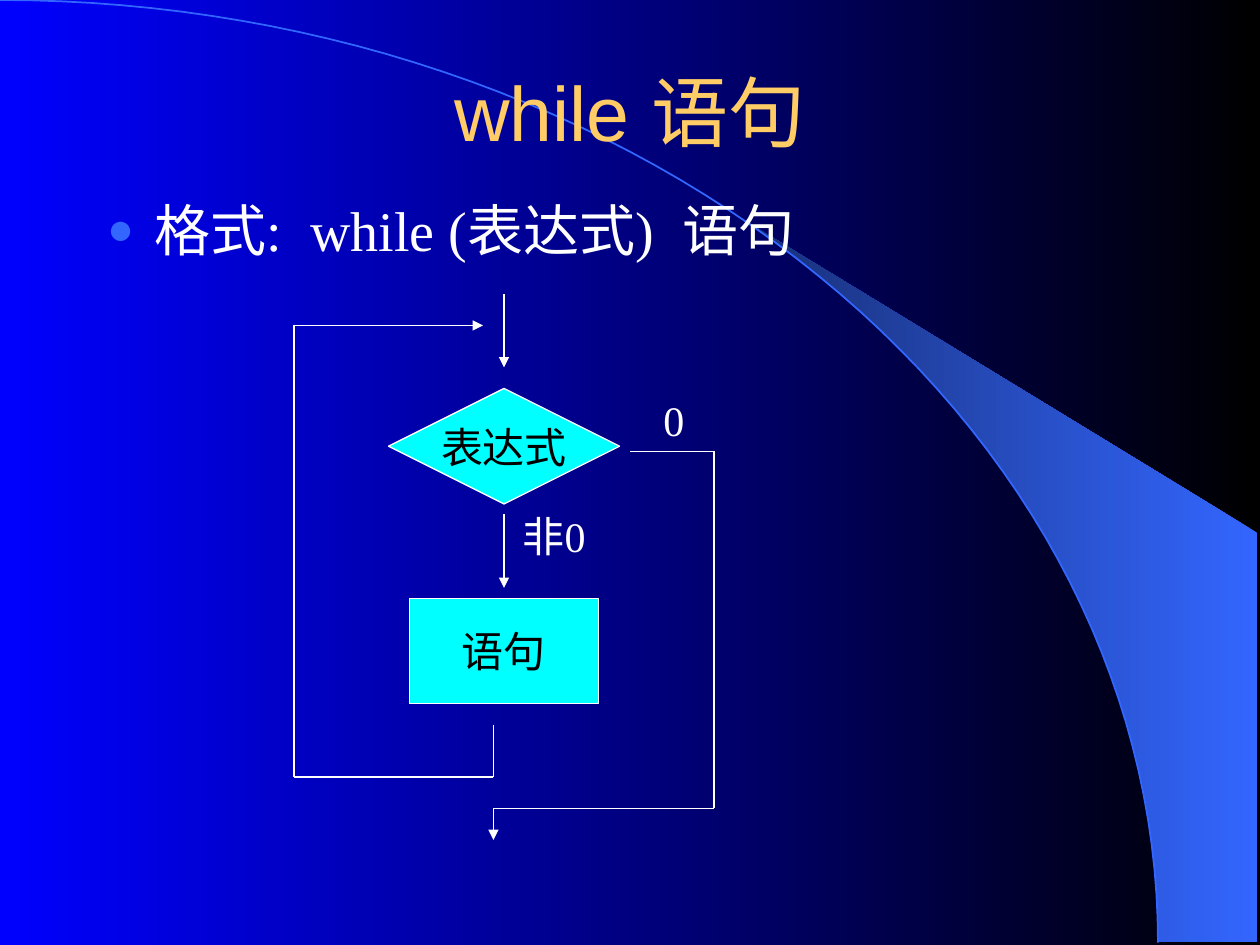
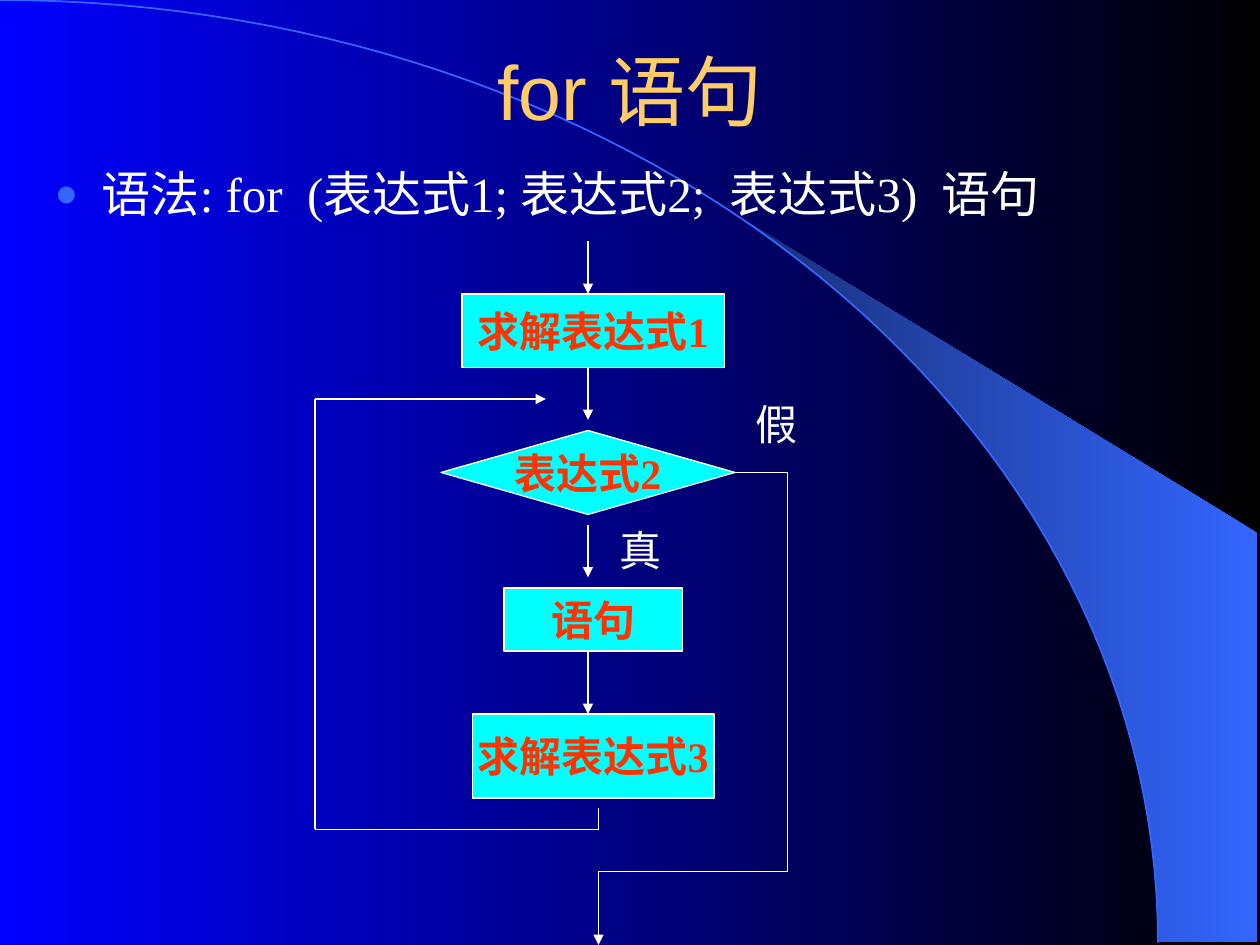
from itertools import pairwise
from math import asin, cos, pi, sin

from lxml.etree import SubElement
from pptx import Presentation
from pptx.dml.color import RGBColor
from pptx.enum.shapes import MSO_CONNECTOR, MSO_SHAPE
from pptx.enum.text import MSO_ANCHOR, MSO_AUTO_SIZE, PP_ALIGN
from pptx.oxml.ns import qn
from pptx.util import Pt

HUES = {
    "black": "000000", "blue": "0000FF", "sky": "3366FF", "navy": "182F76",
    "gold": "FFCC66", "white": "FFFFFF", "cyan": "00FFFF", "red": "FF3300",
}
SANS, SERIF = "Arial", "Times New Roman"
ARC_W, ARC_H = 661.7, 538.6

WHILE = {
    "nodes": [
        (MSO_SHAPE.FLOWCHART_DECISION, 54, 54, 132, 66, "表达式"),
        (MSO_SHAPE.FLOWCHART_PROCESS, 66, 174, 108, 60, "语句"),
    ],
    "tags": [(123.6, 120, 56, "非0"), (204, 54, 26, "0")],
    "routes": [
        [(120, 0), (120, 42)],
        [(120, 126), (120, 168)],
        [(114, 246), (114, 276), (0, 276), (0, 18), (108, 18)],
        [(192, 90), (240, 90), (240, 294), (114, 294), (114, 312)],
    ],
}
FOR = {
    "nodes": [
        (MSO_SHAPE.RECTANGLE, 84, 30, 150, 42, "求解表达式1"),
        (MSO_SHAPE.FLOWCHART_DECISION, 72, 108, 168, 48, "表达式2"),
        (MSO_SHAPE.RECTANGLE, 108, 198, 102, 36, "语句"),
        (MSO_SHAPE.RECTANGLE, 90, 270, 138, 48, "求解表达式3"),
    ],
    "tags": [(244.8, 86, 38, "假"), (167, 158, 38, "真")],
    "routes": [
        [(156, 0), (156, 30)],
        [(156, 72), (156, 102)],
        [(156, 162), (156, 192)],
        [(156, 234), (156, 270)],
        [(162, 324), (162, 336), (0, 336), (0, 90), (132, 90)],
        [(240, 132), (270, 132), (270, 360), (162, 360), (162, 402)],
    ],
}


def hue(name):
    """Return the colour of that name."""
    return RGBColor.from_string(HUES[name])


def style(font, size, color, face=SERIF, bold=False):
    """Set the look of a font."""
    font.size, font.name, font.bold = Pt(size), face, bold
    font.color.rgb = hue(color)


def blend(fill, first, last):
    """Fill with a gradient that runs from right to left."""
    fill.gradient()
    fill.gradient_angle = 180
    for stop, name in zip(fill.gradient_stops, (first, last)):
        stop.color.rgb = hue(name)


def place(shape, left, top, width, height):
    """Move and size a shape."""
    shape.left, shape.top = Pt(left), Pt(top)
    shape.width, shape.height = Pt(width), Pt(height)


def arc(start, steps=60):
    """Return points on the quarter ellipse from an angle to its right end."""
    turns = [start + (pi / 2 - start) * i / steps for i in range(steps + 1)]
    return [(ARC_W * sin(t), ARC_H * (1 - cos(t))) for t in turns]


def outline(slide, points, close):
    """Build a freeform through the points."""
    spots = [(Pt(x), Pt(y)) for x, y in points]
    pen = slide.shapes.build_freeform(*spots[0])
    pen.add_line_segments(spots[1:], close=close)
    shape = pen.convert_to_shape()
    shape.shadow.inherit = False
    return shape


def dress(deck, slide):
    """Give the master its background, wedge and arc."""
    master = deck.slide_master
    blend(master.background.fill, "black", "blue")
    edge = arc(asin(424 / ARC_W))
    wedge = outline(slide, [(718.5, ARC_H), (718.5, 304.5)] + edge, True)
    blend(wedge.fill, "sky", "navy")
    wedge.line.fill.background()
    curve = outline(slide, arc(0), False)
    curve.fill.background()
    curve.line.color.rgb, curve.line.width = hue("sky"), Pt(1)
    for i, shape in enumerate((wedge, curve)):
        shape.element.nvSpPr.cNvPr.set("id", str(20 + i))
        master.shapes.element.insert(2 + i, shape.element)


def head(slide, box, text):
    """Place the title."""
    title = slide.shapes.title
    place(title, *box)
    frame = title.text_frame
    frame.text = text
    frame.auto_size, frame.vertical_anchor = MSO_AUTO_SIZE.NONE, MSO_ANCHOR.MIDDLE
    para = frame.paragraphs[0]
    para.alignment = PP_ALIGN.CENTER
    style(para.runs[0].font, 44, "gold", SANS)


def rule(slide, box, parts, size):
    """Place the bulleted syntax line, with a wide gap between its parts."""
    body = slide.placeholders[1]
    place(body, *box)
    frame = body.text_frame
    frame.auto_size, frame.vertical_anchor = MSO_AUTO_SIZE.NONE, MSO_ANCHOR.TOP
    para = frame.paragraphs[0]
    props = para._p.get_or_add_pPr()
    props.set("marL", str(Pt(27)))
    props.set("indent", str(Pt(-27)))
    tint = SubElement(props, qn("a:buClr"))
    SubElement(tint, qn("a:srgbClr"), val=HUES["sky"])
    SubElement(props, qn("a:buSzPct"), val="80000")
    SubElement(props, qn("a:buChar"), char="●")
    para.space_before = Pt(0)
    for i, part in enumerate(parts):
        if i:
            gap = para.add_run()
            gap.text = " "
            gap._r.get_or_add_rPr().set("spc", str(size * 25))
        para.add_run().text = part
    for run in para.runs:
        style(run.font, size, "white")


def node(slide, box, kind, text, color, bold):
    """Draw one step of a flow."""
    shape = slide.shapes.add_shape(kind, *map(Pt, box))
    shape.shadow.inherit = False
    shape.fill.solid()
    shape.fill.fore_color.rgb = hue("cyan")
    shape.line.color.rgb, shape.line.width = hue("white"), Pt(0.75)
    frame = shape.text_frame
    frame.text = text
    frame.word_wrap, frame.vertical_anchor = False, MSO_ANCHOR.MIDDLE
    para = frame.paragraphs[0]
    para.alignment = PP_ALIGN.CENTER
    style(para.runs[0].font, 24, color, bold=bold)
    return shape


def tag(slide, box, text):
    """Write the label of a branch."""
    frame = slide.shapes.add_textbox(*map(Pt, box)).text_frame
    frame.text = text
    frame.word_wrap, frame.auto_size = False, MSO_AUTO_SIZE.SHAPE_TO_FIT_TEXT
    style(frame.paragraphs[0].runs[0].font, 24, "white")


def sides(shape):
    """Map the middle of each side to its shape and site number."""
    x, y, w, h = shape.left, shape.top, shape.width, shape.height
    spots = [(x + w // 2, y), (x, y + h // 2), (x + w // 2, y + h), (x + w, y + h // 2)]
    return {spot: (shape, site) for site, spot in enumerate(spots)}


def route(slide, points, ports):
    """Draw straight lines through the points and end with an arrow."""
    for start, end in pairwise(points):
        line = slide.shapes.add_connector(MSO_CONNECTOR.STRAIGHT, *start, *end)
        line.line.color.rgb, line.line.width = hue("white"), Pt(0.75)
        SubElement(line.element.spPr, qn("a:effectLst"))
        if start in ports:
            line.begin_connect(*ports[start])
        if end in ports:
            line.end_connect(*ports[end])
    SubElement(line.line._get_or_add_ln(), qn("a:tailEnd"), type="triangle")


def flow(slide, left, top, plan, color, bold=False):
    """Draw a flow chart whose plan is measured from its top left corner."""
    ports = {}
    for kind, x, y, w, h, text in plan["nodes"]:
        shape = node(slide, (left + x, top + y, w, h), kind, text, color, bold)
        ports.update(sides(shape))
    for points in plan["routes"]:
        route(slide, [(Pt(left + x), Pt(top + y)) for x, y in points], ports)
    for x, y, w, text in plan["tags"]:
        tag(slide, (left + x, top + y, w, 36), text)


def main():
    """Build the two slides and save them."""
    deck = Presentation()
    deck.slide_width, deck.slide_height = Pt(720), Pt(540)
    first, second = [deck.slides.add_slide(deck.slide_layouts[1]) for _ in range(2)]
    dress(deck, first)

    head(first, (54, 18, 612, 90), "while 语句")
    rule(first, (54, 108, 612, 72), ["格式:", "while (表达式)", "语句"], 32)
    flow(first, 168, 168, WHILE, "black")

    head(second, (54, 6, 612, 90), "for 语句")
    parts = ["语法: for", "(表达式1; 表达式2;", "表达式3)", "语句"]
    rule(second, (24, 90, 696, 48), parts, 28)
    flow(second, 180, 138, FOR, "red", bold=True)

    deck.save("out.pptx")


if __name__ == "__main__":
    main()
